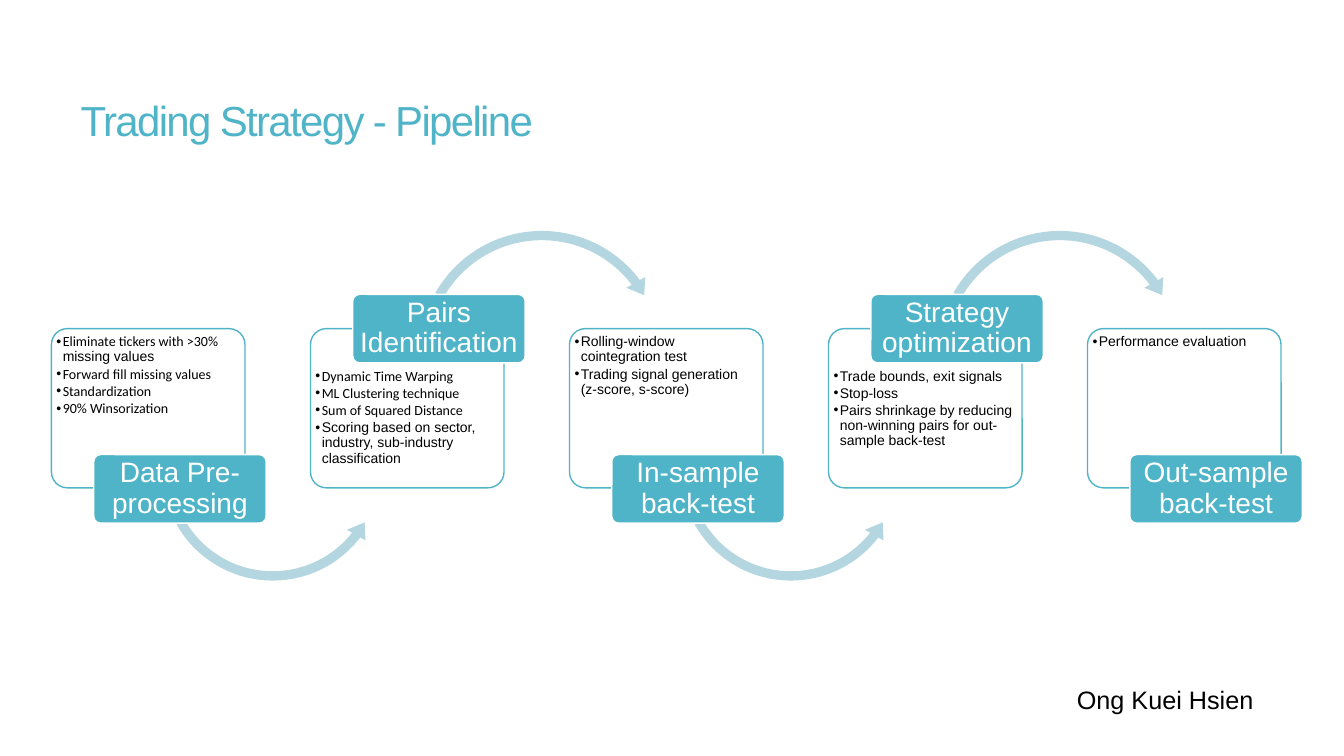
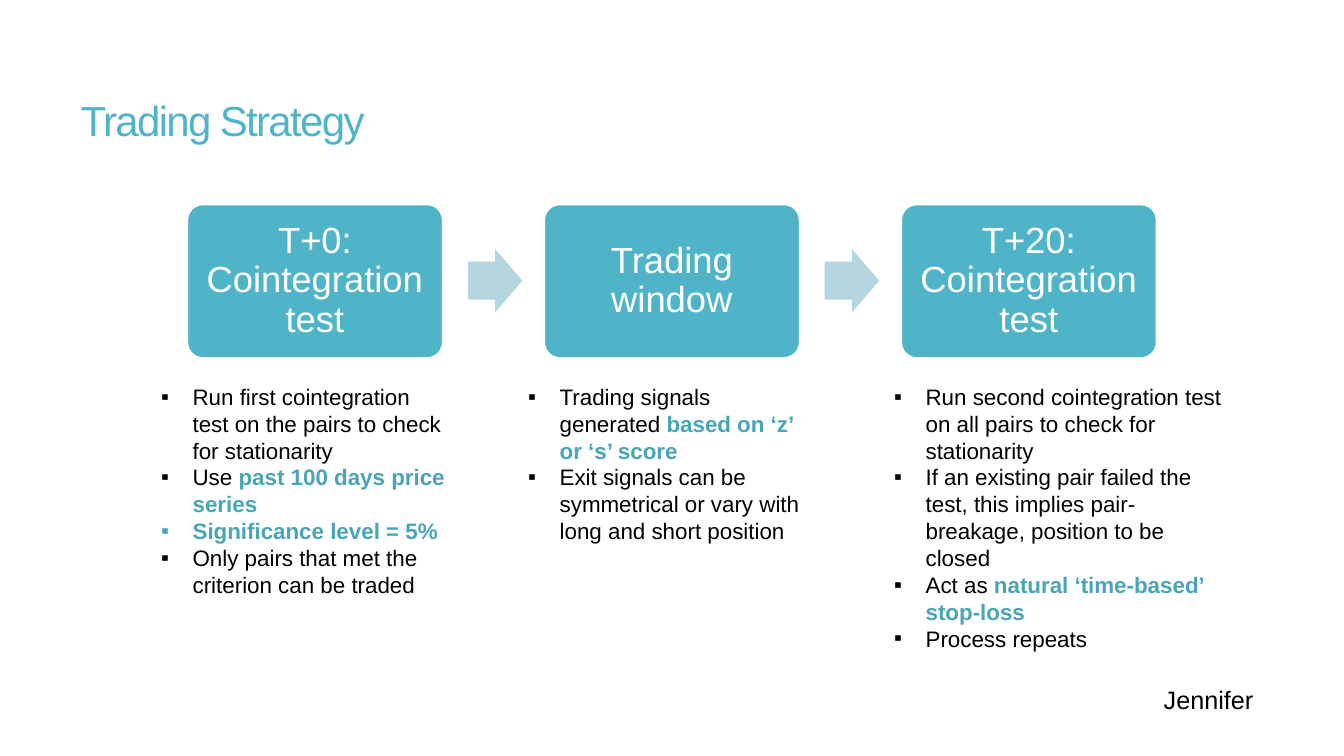
"""Build two trading strategy slides: a five-step pipeline and a three-stage process."""
from lxml import etree
from pptx import Presentation
from pptx.dml.color import RGBColor
from pptx.enum.shapes import MSO_SHAPE
from pptx.enum.text import MSO_ANCHOR, PP_ALIGN
from pptx.oxml.ns import qn
from pptx.util import Pt

ROUNDED = MSO_SHAPE.ROUNDED_RECTANGLE
RIGHT_ARROW = MSO_SHAPE.RIGHT_ARROW
ARC_OVER = MSO_SHAPE.CIRCULAR_ARROW
ARC_UNDER = MSO_SHAPE.LEFT_CIRCULAR_ARROW
LEFT, CENTER, RIGHT = PP_ALIGN.LEFT, PP_ALIGN.CENTER, PP_ALIGN.RIGHT
TOP, MIDDLE = MSO_ANCHOR.TOP, MSO_ANCHOR.MIDDLE

EMU_PER_PX = 9144
TEAL, DARK_TEAL, PALE_TEAL = "50B4C8", "49A5B6", "B3D6E0"
WHITE, BLACK = "FFFFFF", "000000"
PLAIN = {}
CALIBRI = {"font": "Calibri"}
STRONG = {"color": DARK_TEAL, "bold": True}

PIPELINE_TITLE, PIPELINE_AUTHOR = "Trading Strategy - Pipeline", "Ong Kuei Hsien"
PIPELINE = [
    ("Data Pre-processing", [
        [("Eliminate tickers with >30%", CALIBRI), (" missing values", PLAIN)],
        [("Forward fill missing values", CALIBRI)],
        [("Standardization", CALIBRI)],
        [("90% Winsorization", CALIBRI)],
    ]),
    ("Pairs Identification", [
        [("Dynamic Time Warping", CALIBRI)],
        [("ML Clustering technique", CALIBRI)],
        [("Sum of Squared Distance", CALIBRI)],
        [("Scoring based on sector, industry, sub-industry classification", PLAIN)],
    ]),
    ("In-sample back-test", [
        [("Rolling-window cointegration test", PLAIN)],
        [("Trading signal generation (z-score, s-score)", PLAIN)],
    ]),
    ("Strategy optimization", [
        [("Trade bounds, exit signals", PLAIN)],
        [("Stop-loss", PLAIN)],
        [("Pairs shrinkage by reducing non-winning pairs for out-sample back-test", PLAIN)],
    ]),
    ("Out-sample back-test", [
        [("Performance evaluation", PLAIN)],
    ]),
]

STAGES_TITLE, STAGES_AUTHOR = "Trading Strategy", "Jennifer"
STAGES = [
    ("T+0: Cointegration test", (150, 375, 306, 232), [
        [("Run first cointegration test on the pairs to check for stationarity", PLAIN)],
        [("Use ", PLAIN), ("past 100 days price series", STRONG)],
        [("Significance level = 5%", STRONG)],
        [("Only pairs that met the criterion can be traded", PLAIN)],
    ]),
    ("Trading window", (514, 375, 306, 172), [
        [("Trading signals generated ", PLAIN), ("based on ‘z’ or ‘s’ score", STRONG)],
        [("Exit signals can be symmetrical or vary with long and short position", PLAIN)],
    ]),
    ("T+20: Cointegration test", (877, 375, 347, 279), [
        [("Run second cointegration test on all pairs to check for stationarity", PLAIN)],
        [("If an existing pair failed the test, this implies pair-breakage, "
          "position to be closed", PLAIN)],
        [("Act as ", PLAIN), ("natural ‘time-based’ stop-loss", STRONG)],
        [("Process repeats", PLAIN)],
    ]),
]

CARD_LEFT, CARD_STEP = 51, 256.9
STAGE_LEFT, STAGE_STEP = 186, 354


def px(length):
    return round(length * EMU_PER_PX)


def rgb(color):
    return RGBColor.from_string(color)


def add_run(paragraph, text, size, font="Arial", color=BLACK, bold=False):
    run = paragraph.add_run()
    run.text = text
    run.font.size = Pt(size)
    run.font.name = font
    run.font.bold = bold
    run.font.color.rgb = rgb(color)
    return run


def set_frame(frame, margins, anchor):
    frame.word_wrap = True
    frame.vertical_anchor = anchor
    frame.margin_left, frame.margin_top, frame.margin_right, frame.margin_bottom = map(px, margins)


def add_bullets(frame, items, size, bullet, indent, spacing=1.0, after=0):
    for index, runs in enumerate(items):
        paragraph = frame.add_paragraph() if index else frame.paragraphs[0]
        paragraph.alignment = LEFT
        paragraph.line_spacing = spacing
        paragraph.space_after = Pt(after)
        properties = paragraph._p.get_or_add_pPr()
        properties.set("marL", str(Pt(indent)))
        properties.set("indent", str(-Pt(indent)))
        etree.SubElement(properties, qn("a:buFont")).set("typeface", "Arial")
        etree.SubElement(properties, qn("a:buChar")).set("char", bullet)
        for text, style in runs:
            add_run(paragraph, text, size, **style)


def add_block(slide, kind, box, fill, adjustments, line=None):
    shape = slide.shapes.add_shape(kind, *map(px, box))
    shape.shadow.inherit = False
    for index, value in enumerate(adjustments):
        shape.adjustments[index] = value
    shape.fill.solid()
    shape.fill.fore_color.rgb = rgb(fill)
    if line:
        shape.line.color.rgb = rgb(line)
        shape.line.width = Pt(1)
    else:
        shape.line.fill.background()
    return shape


def add_label(slide, box, text, size, margin):
    shape = add_block(slide, ROUNDED, box, TEAL, [0.1], WHITE)
    set_frame(shape.text_frame, [margin] * 4, MIDDLE)
    paragraph = shape.text_frame.paragraphs[0]
    paragraph.alignment = CENTER
    paragraph.line_spacing = 0.9
    add_run(paragraph, text, size, color=WHITE)


def add_text_box(slide, box, margins=(10, 5, 10, 5)):
    frame = slide.shapes.add_textbox(*map(px, box)).text_frame
    set_frame(frame, margins, TOP)
    return frame


def add_slide(presentation, title, author):
    slide = presentation.slides.add_slide(presentation.slide_layouts[5])
    heading = slide.shapes.title
    heading.left, heading.top, heading.width, heading.height = map(px, (80, 55, 1173, 127))
    set_frame(heading.text_frame, (0, 5, 0, 5), MIDDLE)
    paragraph = heading.text_frame.paragraphs[0]
    paragraph.alignment = LEFT
    run = add_run(paragraph, title, 30, color=TEAL)
    run.font._element.set("spc", "-120")
    paragraph = add_text_box(slide, (1047, 674, 206, 40)).paragraphs[0]
    paragraph.alignment = RIGHT
    add_run(paragraph, author, 18)
    return slide


def build_pipeline(presentation):
    slide = add_slide(presentation, PIPELINE_TITLE, PIPELINE_AUTHOR)
    for index, (label, items) in enumerate(PIPELINE):
        left = CARD_LEFT + index * CARD_STEP
        label_above = index % 2 == 1
        add_block(slide, ROUNDED, (left, 326, 192, 158), WHITE, [0.1], TEAL)
        body_box = (left + 3, 364 if label_above else 330, 185, 117)
        add_bullets(add_text_box(slide, body_box, [2] * 4), items, 10, "•", 4.5, 0.9, 1.5)
        if index < len(PIPELINE) - 1:
            if label_above:
                add_block(slide, ARC_OVER, (left + 102, 223, 255, 255), PALE_TEAL,
                          [0.036, 4.45, 193.795, 125.755, 0.042])
            else:
                add_block(slide, ARC_UNDER, (left + 104, 351, 231, 231), PALE_TEAL,
                          [0.04, 4.969, 22.724, 90.245, 0.046])
        add_label(slide, (left + 42, 292 if label_above else 451, 171, 68), label, 20, 4)


def build_stages(presentation):
    slide = add_slide(presentation, STAGES_TITLE, STAGES_AUTHOR)
    for index, (label, body_box, items) in enumerate(STAGES):
        left = STAGE_LEFT + index * STAGE_STEP
        add_label(slide, (left, 203, 253, 152), label, 26, 11)
        if index < len(STAGES) - 1:
            add_block(slide, RIGHT_ARROW, (left + 278, 247, 54, 63), PALE_TEAL, [0.6, 0.5])
        add_bullets(add_text_box(slide, body_box), items, 16, "▪", 22.5)


def main():
    presentation = Presentation()
    presentation.slide_width, presentation.slide_height = px(1333), px(750)
    build_pipeline(presentation)
    build_stages(presentation)
    presentation.save("out.pptx")


if __name__ == "__main__":
    main()
